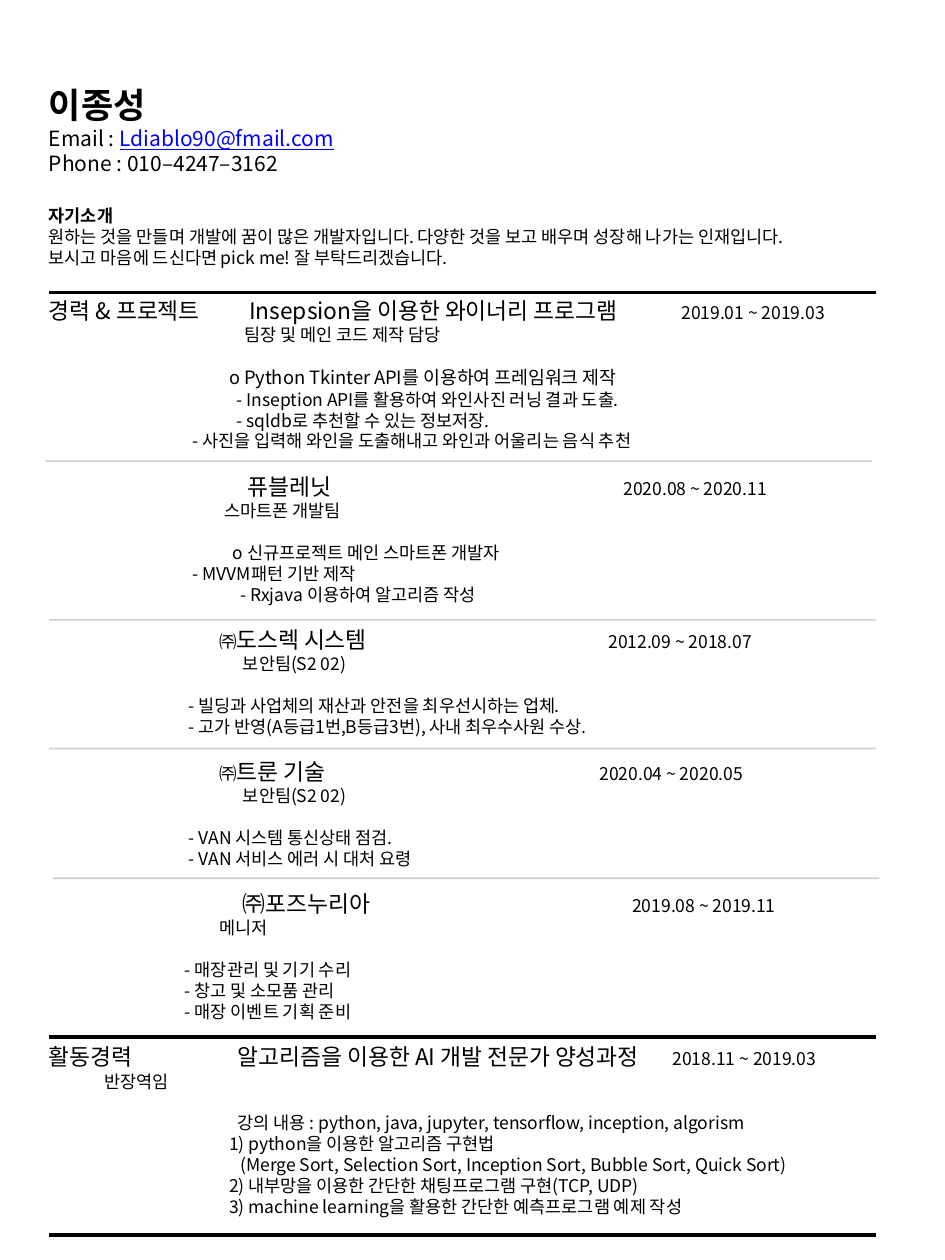
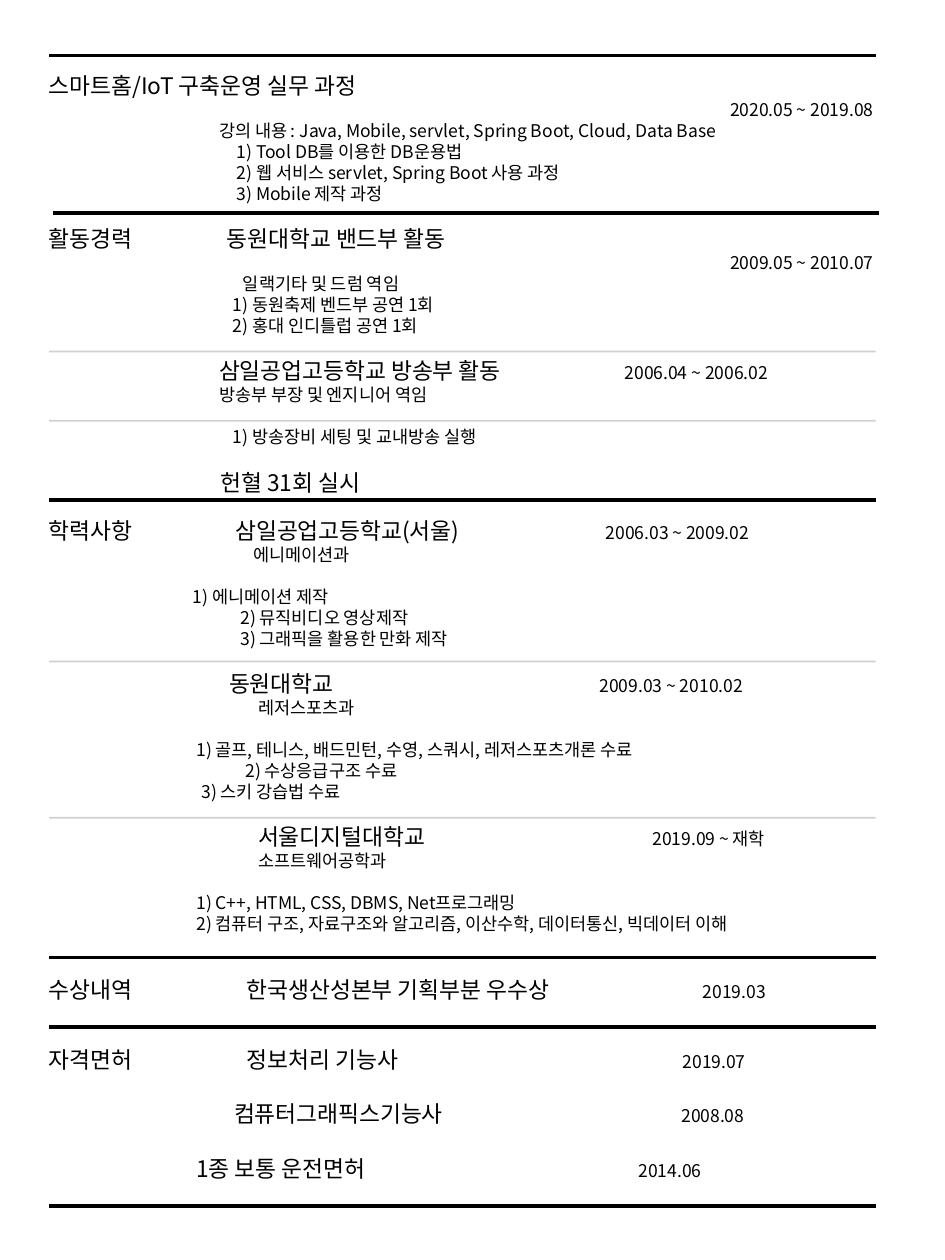
"""Build a two-page résumé with one flowing text column and section rules."""
from dataclasses import dataclass

from lxml.etree import SubElement
from pptx import Presentation
from pptx.dml.color import RGBColor
from pptx.enum.shapes import MSO_CONNECTOR
from pptx.enum.text import PP_ALIGN
from pptx.oxml.ns import qn
from pptx.util import Inches, Pt

FONT = "Noto Sans CJK KR"
BLACK = RGBColor(0, 0, 0)
GRAY = RGBColor(0x80, 0x80, 0x80)
BLUE = RGBColor(0, 0, 0xFF)
BODY, TITLE, CONTACT, NAME = 10, 13, 12, 20
LINE_RATIO = 1.2
GAP, WIDE_GAP = 12, 16.8
LEFT, WIDTH = 0.29, 6.74
RULE_LEFT, RULE_WIDTH = 0.39, 6.56


@dataclass(frozen=True)
class Line:
    text: str
    x: float = 0
    gap: float = 0
    size: float = BODY
    bold: bool = False
    link: str = ""
    right: bool = False


@dataclass(frozen=True)
class Entry:
    title: str
    x: float
    date: str = ""
    date_x: float = 0
    label: str = ""
    mark: str = ""
    gap: float = GAP


@dataclass(frozen=True)
class Rule:
    y: float
    strong: bool = False
    x: float = RULE_LEFT


@dataclass(frozen=True)
class Page:
    top: float
    height: float
    content: tuple[Line | Entry, ...]
    rules: tuple[Rule, ...]


PAGES = (
    Page(0.61, 9.28, (
        Line("이종성", size=NAME, bold=True),
        Line("Email : ", size=CONTACT, link="Ldiablo90@fmail.com"),
        Line("Phone : 010–4247–3162", size=CONTACT),
        Line("자기소개", gap=WIDE_GAP, bold=True),
        Line("원하는 것을 만들며 개발에 꿈이 많은 개발자입니다. 다양한 것을 보고 배우며 성장해 나가는 인재입니다."),
        Line("보시고 마음에 드신다면 pick me! 잘 부탁드리겠습니다."),
        Entry("Insepsion을 이용한 와이너리 프로그램", 1.59, "2019.01 ~ 2019.03", 5.02,
              label="경력 & 프로젝트", gap=WIDE_GAP),
        Line("팀장 및 메인 코드 제작 담당", 1.55),
        Line("ο Python Tkinter API를 이용하여 프레임워크 제작", 1.43, GAP, 10.5),
        Line("- Inseption API를 활용하여 와인사진 러닝 결과 도출.", 1.49),
        Line("- sqldb로 추천할 수 있는 정보저장.", 1.49),
        Line("- 사진을 입력해 와인을 도출해내고 와인과 어울리는 음식 추천", 1.14),
        Entry("퓨블레닛", 1.58, "2020.08 ~ 2020.11", 4.56),
        Line("스마트폰 개발팀", 1.39),
        Line("ο 신규프로젝트 메인 스마트폰 개발자", 1.46, GAP),
        Line("- MVVM패턴 기반 제작", 1.14),
        Line("- Rxjava 이용하여 알고리즘 작성", 1.52),
        Entry("도스렉 시스템", 1.35, "2012.09 ~ 2018.07", 4.44, mark="㈜"),
        Line("보안팀(S2 02)", 1.54),
        Line("- 빌딩과 사업체의 재산과 안전을 최우선시하는 업체.", 1.11, GAP),
        Line("- 고가 반영(A등급1번,B등급3번), 사내 최우수사원 수상.", 1.11),
        Entry("트룬 기술", 1.35, "2020.04 ~ 2020.05", 4.37, mark="㈜"),
        Line("보안팀(S2 02)", 1.54),
        Line("- VAN 시스템 통신상태 점검.", 1.11, GAP),
        Line("- VAN 서비스 에러 시 대처 요령", 1.11),
        Entry("㈜포즈누리아", 1.54, "2019.08 ~ 2019.11", 4.63),
        Line("메니저", 1.35),
        Line("- 매장관리 및 기기 수리", 1.08, GAP),
        Line("- 창고 및 소모품 관리", 1.08),
        Line("- 매장 이벤트 기획 준비", 1.08),
        Entry("알고리즘을 이용한 AI 개발 전문가 양성과정", 1.5, "2018.11 ~ 2019.03", 4.95,
              label="활동경력"),
        Line("반장역임", 0.44),
        Line("강의 내용 : python, java, jupyter, tensorflow, inception, algorism", 1.5, GAP),
        Line("1) python을 이용한 알고리즘 구현법", 1.43),
        Line("(Merge Sort, Selection Sort, Inception Sort, Bubble Sort, Quick Sort)", 1.52),
        Line("2) 내부망을 이용한 간단한 채팅프로그램 구현(TCP, UDP)", 1.43),
        Line("3) machine learning을 활용한 간단한 예측프로그램 예제 작성", 1.43),
    ), (
        Rule(2.32, True), Rule(3.66, x=0.36), Rule(4.92), Rule(5.94),
        Rule(6.97, x=0.42), Rule(8.23, True), Rule(9.8, True),
    )),
    Page(0.52, 9.3, (
        Line("스마트홈/IoT 구축운영 실무 과정", size=TITLE),
        Line("2020.05 ~ 2019.08", right=True),
        Line("강의 내용 : Java, Mobile, servlet, Spring Boot, Cloud, Data Base", 1.35),
        Line("1) Tool DB를 이용한 DB운용법", 1.49),
        Line("2) 웹 서비스 servlet, Spring Boot 사용 과정", 1.49),
        Line("3) Mobile 제작 과정", 1.49),
        Entry("동원대학교 밴드부 활동", 1.41, label="활동경력"),
        Line("2009.05 ~ 2010.07", right=True),
        Line("일랙기타 및 드럼 역임", 1.54),
        Line("1) 동원축제 벤드부 공연 1회", 1.46),
        Line("2) 홍대 인디틀럽 공연 1회", 1.46),
        Entry("삼일공업고등학교 방송부 활동", 1.35, "2006.04 ~ 2006.02", 4.57),
        Line("방송부 부장 및 엔지니어 역임", 1.35),
        Line("1) 방송장비 세팅 및 교내방송 실행", 1.46, GAP),
        Entry("헌혈 31회 실시", 1.36),
        Entry("삼일공업고등학교(서울)", 1.48, "2006.03 ~ 2009.02", 4.42, label="학력사항"),
        Line("에니메이션과", 1.62),
        Line("1) 에니메이션 제작", 1.14, GAP),
        Line("2) 뮤직비디오 영상제작", 1.52),
        Line("3) 그래픽을 활용한 만화 제작", 1.52),
        Entry("동원대학교", 1.43, "2009.03 ~ 2010.02", 4.37),
        Line("레저스포츠과", 1.66),
        Line("1) 골프, 테니스, 배드민턴, 수영, 스쿼시, 레저스포츠개론 수료", 1.17, GAP),
        Line("2) 수상응급구조 수료", 1.56),
        Line("3) 스키 강습법 수료", 1.21),
        Entry("서울디지털대학교", 1.66, "2019.09 ~ 재학", 4.79),
        Line("소프트웨어공학과", 1.66),
        Line("1) C++, HTML, CSS, DBMS, Net프로그래밍", 1.17, GAP),
        Line("2) 컴퓨터 구조, 자료구조와 알고리즘, 이산수학, 데이터통신, 빅데이터 이해", 1.17),
        Entry("한국생산성본부 기획부분 우수상", 1.57, "2019.03", 5.19, label="수상내역", gap=2 * GAP),
        Entry("정보처리 기능사", 1.57, "2019.07", 5.03, label="자격면허", gap=2 * GAP),
        Entry("컴퓨터그래픽스기능사", 1.47, "2008.08", 5.02, gap=TITLE * LINE_RATIO),
        Entry("1종 보통 운전면허", 1.17, "2014.06", 4.68, gap=TITLE * LINE_RATIO),
    ), (
        Rule(0.44, True), Rule(1.69, True, 0.42), Rule(2.79), Rule(3.34), Rule(3.97, True),
        Rule(5.25), Rule(6.49), Rule(7.6, True), Rule(8.15, True), Rule(9.57, True),
    )),
)


def add_run(p, text: str, size: float, bold: bool = False, color: RGBColor = BLACK):
    """Append a formatted run with Latin and East Asian fonts."""
    r = p.add_run()
    r.text = text
    r.font.size = Pt(size)
    r.font.bold = bold
    r.font.color.rgb = color
    r.font.name = FONT
    SubElement(r._r.get_or_add_rPr(), qn("a:ea")).set("typeface", FONT)
    return r


def set_spacing(p, size: float, gap: float) -> None:
    """Fix the line height and the space above a paragraph."""
    p.line_spacing = Pt(size * LINE_RATIO)
    p.space_before = Pt(gap)
    p.space_after = Pt(0)


def write_line(p, line: Line) -> None:
    """Write an indented line, with an optional link-styled ending."""
    set_spacing(p, line.size, line.gap)
    p.alignment = PP_ALIGN.RIGHT if line.right else PP_ALIGN.LEFT
    pPr = p._p.get_or_add_pPr()
    pPr.set("marL", str(Inches(line.x)))
    pPr.set("indent", "0")
    add_run(p, line.text, line.size, line.bold)
    if line.link:
        add_run(p, line.link, line.size, color=BLUE).font.underline = True


def write_entry(p, entry: Entry) -> None:
    """Write label, title and date on tab stops."""
    set_spacing(p, TITLE, entry.gap)
    tabs = SubElement(p._p.get_or_add_pPr(), qn("a:tabLst"))
    for x in filter(None, (entry.x, entry.date_x)):
        SubElement(tabs, qn("a:tab"), pos=str(Inches(x)), algn="l")
    add_run(p, entry.label + "\t", TITLE)
    if entry.mark:
        add_run(p, entry.mark, BODY)
    add_run(p, entry.title, TITLE)
    if entry.date:
        add_run(p, "\t" + entry.date, BODY)


def add_content(s, page: Page) -> None:
    """Add the text column of a page."""
    tf = s.shapes.add_textbox(Inches(LEFT), Inches(page.top),
                              Inches(WIDTH), Inches(page.height)).text_frame
    tf.word_wrap = True
    tf.margin_left = tf.margin_right = Inches(0.1)
    tf.margin_top, tf.margin_bottom = Inches(0.05), 0
    for i, item in enumerate(page.content):
        p = tf.add_paragraph() if i else tf.paragraphs[0]
        if isinstance(item, Entry):
            write_entry(p, item)
        else:
            write_line(p, item)


def add_rule(s, rule: Rule) -> None:
    """Add a black section rule or a faint entry rule."""
    y = Inches(rule.y)
    c = s.shapes.add_connector(MSO_CONNECTOR.STRAIGHT, Inches(rule.x), y,
                               Inches(rule.x + RULE_WIDTH), y)
    c.line.width = Pt(2 if rule.strong else 1)
    c.line.color.rgb = BLACK if rule.strong else GRAY
    spPr = c._element.spPr
    if not rule.strong:
        SubElement(spPr.find(".//" + qn("a:srgbClr")), qn("a:alpha")).set("val", "37000")
    SubElement(spPr, qn("a:effectLst"))


def main() -> None:
    """Build and save the résumé."""
    prs = Presentation()
    prs.slide_width, prs.slide_height = Inches(7.5), Inches(10)
    for page in PAGES:
        s = prs.slides.add_slide(prs.slide_layouts[6])
        add_content(s, page)
        for rule in page.rules:
            add_rule(s, rule)
    prs.save("out.pptx")


main()
